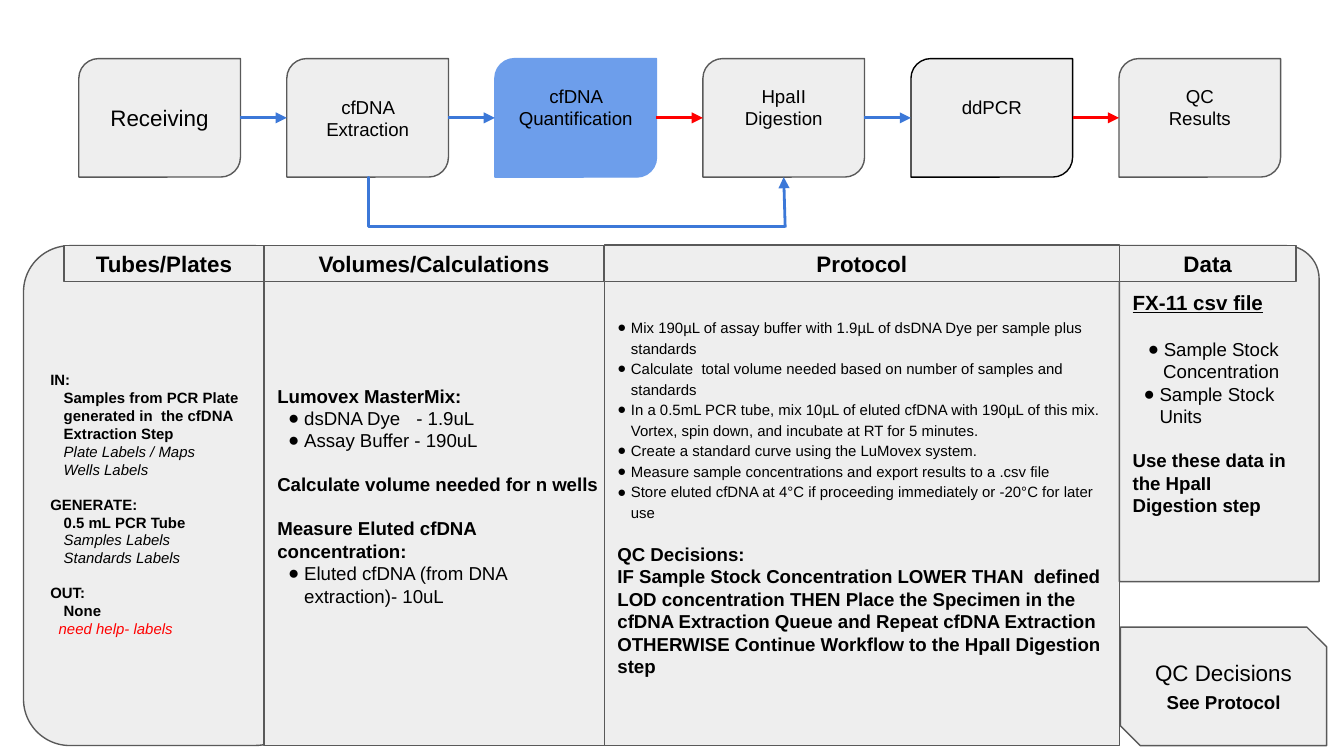
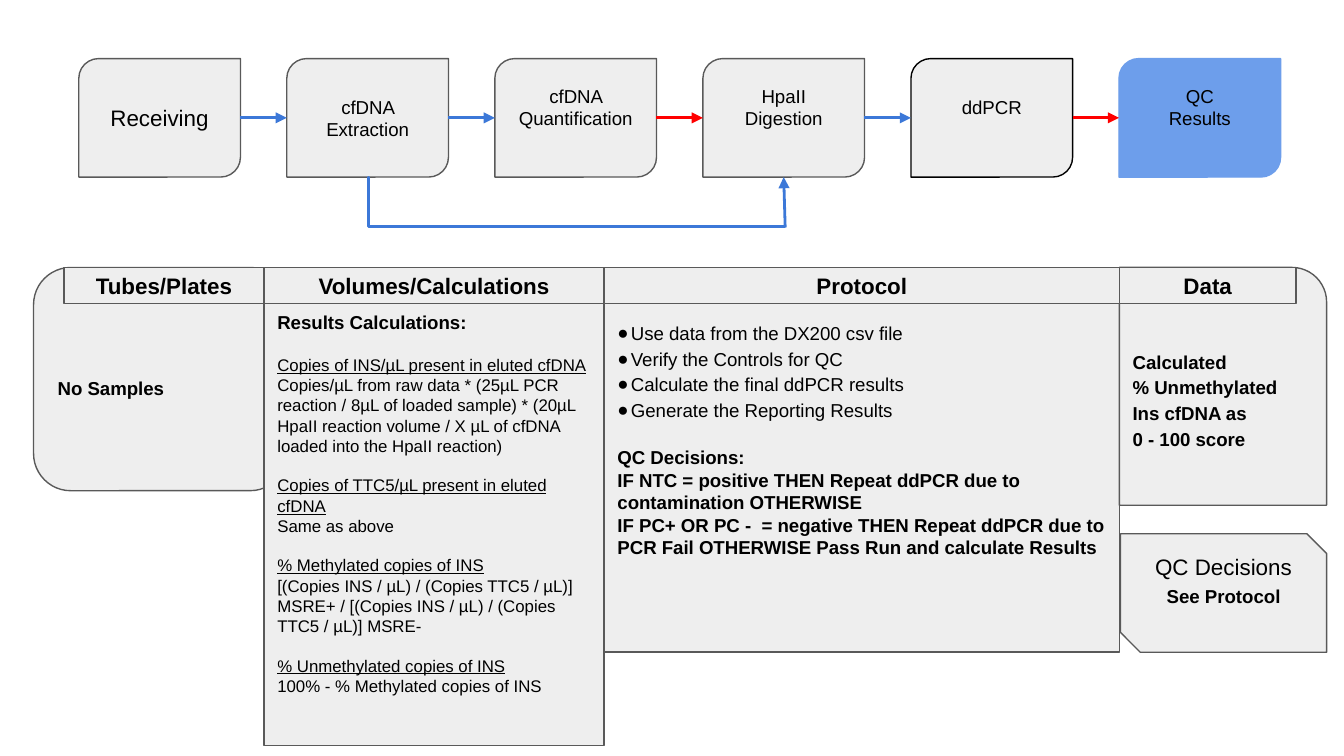
from lxml import etree
from pptx import Presentation
from pptx.dml.color import RGBColor
from pptx.enum.shapes import MSO_CONNECTOR, MSO_SHAPE
from pptx.enum.text import MSO_ANCHOR, PP_ALIGN
from pptx.oxml.ns import qn
from pptx.util import Pt

RECT = MSO_SHAPE.RECTANGLE
ROUNDED = MSO_SHAPE.ROUNDED_RECTANGLE
ONE_ROUND = MSO_SHAPE.ROUND_1_RECTANGLE
STEP_SHAPE = MSO_SHAPE.ROUND_2_DIAG_RECTANGLE
SNIPPED = MSO_SHAPE.SNIP_2_DIAG_RECTANGLE
STRAIGHT, ELBOW = MSO_CONNECTOR.STRAIGHT, MSO_CONNECTOR.ELBOW
MIDDLE, CENTER, LEFT = MSO_ANCHOR.MIDDLE, PP_ALIGN.CENTER, PP_ALIGN.LEFT

FONT = "Arial"
GREY, EDGE, BLACK = "EEEEEE", "595959", "000000"
ACTIVE, BLUE, RED = "6D9EEB", "3C78D8", "FF0000"
INSET = 7.2

# Paragraph styles
BOLD10 = dict(size=10, bold=True)
TITLE12 = dict(size=12, align=CENTER)
HEADER = dict(TITLE12, bold=True)
STEP = dict(size=10, align=CENTER)
LABEL = dict(size=8, bold=True)
ITEM = dict(LABEL, margin=7.2)
NOTE = dict(size=8, italic=True, margin=7.2)
BULLET = dict(size=10, margin=14.4, hanging=8.6)
TASK = dict(size=10, margin=7.2, hanging=8.6, spacing=1.15)
SMALL_TASK = dict(TASK, size=8, hanging=7.9)
FORMULA = dict(size=9)
FORMULA_NAME = dict(size=9, underline=True, gap=10.35)
SCORE = dict(BOLD10, spacing=1.15)

# Workflow: name lines, text style, space kept below, outline
STEPS = [
    (["Receiving"], TITLE12, 0, EDGE),
    (["cfDNA Extraction"], STEP, 0, EDGE),
    (["cfDNA Quantification"], STEP, 11.5, EDGE),
    (["HpaII Digestion"], STEP, 11.5, EDGE),
    (["ddPCR"], STEP, 11.5, BLACK),
    (["QC", "Results"], STEP, 11.5, EDGE),
]
STEP_ARROWS = [BLUE, BLUE, RED, BLUE, RED]
STEP_LEFT, STEP_TOP, STEP_W, STEP_H, STEP_PITCH = 42.2, 31.4, 86.6, 63.5, 111.45

# Column headers: title, left, width
COLUMNS = [
    ("Volumes/Calculations", 141.5, 182.2),
    ("Tubes/Plates", 34.3, 107.2),
    ("Protocol", 323.7, 276),
    ("Data", 599.7, 94.6),
]
HEADER_H = 19.4
DECISIONS = [("QC Decisions", TITLE12), ("See Protocol", dict(STEP, bold=True, gap=2.3))]

# Panels: shape, (left, top, width, height), (space above, space below), paragraphs
QUANTIFICATION = dict(active=2, header_top=131.6, panels=[
    (ROUNDED, (12.6, 131.6, 149, 267.8), (46, 36.8), [
        ("IN:", LABEL),
        ("Samples from PCR Plate generated in  the cfDNA Extraction Step", ITEM),
        ("Plate Labels / Maps", NOTE),
        ("Wells Labels", NOTE),
        ("GENERATE:", dict(LABEL, gap=9.2)),
        ("0.5 mL PCR Tube", ITEM),
        ("Samples Labels", NOTE),
        ("Standards Labels", NOTE),
        ("OUT:", dict(LABEL, gap=9.2)),
        ("None", ITEM),
        ("need help- labels", dict(NOTE, margin=4.5, color=RED)),
    ]),
    (RECT, (141.5, 131.6, 188, 267.8), (0, 0), [
        ("Lumovex MasterMix:", BOLD10),
        ("dsDNA Dye\t- 1.9uL", dict(BULLET, tab=74.5)),
        ("Assay Buffer - 190uL", BULLET),
        ("Calculate volume needed for n wells", dict(BOLD10, gap=11.5)),
        ("Measure Eluted cfDNA concentration:", dict(BOLD10, gap=11.5)),
        ("Eluted cfDNA (from DNA extraction)- 10uL", BULLET),
    ]),
    (RECT, (323.7, 131.3, 276, 268), (13.2, 11.5), [
        ("Mix 190µL of assay buffer with 1.9µL of dsDNA Dye per sample plus standards", SMALL_TASK),
        ("Calculate  total volume needed based on number of samples and standards", SMALL_TASK),
        ("In a 0.5mL PCR tube, mix 10µL of eluted cfDNA with 190µL of this mix. "
         "Vortex, spin down, and incubate at RT for 5 minutes.", SMALL_TASK),
        ("Create a standard curve using the LuMovex system.", SMALL_TASK),
        ("Measure sample concentrations and export results to a .csv file", SMALL_TASK),
        ("Store eluted cfDNA at 4°C if proceeding immediately or -20°C for later use", SMALL_TASK),
        ("QC Decisions:", dict(BOLD10, gap=11.5)),
        ("IF Sample Stock Concentration LOWER THAN  defined LOD concentration THEN "
         "Place the Specimen in the cfDNA Extraction Queue and Repeat cfDNA Extraction "
         "OTHERWISE Continue Workflow to the HpaII Digestion step", BOLD10),
    ]),
    (ONE_ROUND, (599.7, 131.6, 107, 180), (0, 11.5), [
        ("FX-11 csv file", dict(size=11, bold=True, underline=True)),
        ("Sample Stock Concentration", dict(BULLET, margin=7.2, align=CENTER, gap=12.65)),
        ("Sample Stock Units", BULLET),
        ("Use these data in the HpaII Digestion step", dict(BOLD10, gap=11.5)),
    ]),
    (SNIPPED, (600.3, 336, 110.4, 63.5), (0, 0), DECISIONS),
])

RESULTS = dict(active=5, header_top=143.3, panels=[
    (ROUNDED, (18, 143.3, 136, 119.6), (9.2, 0), [("No Samples", BOLD10)]),
    (RECT, (141.5, 162.7, 182.2, 236.8), (0, 23), [
        ("Results Calculations:", BOLD10),
        ("Copies of INS/µL present in eluted cfDNA", dict(FORMULA_NAME, gap=11.5)),
        ("Copies/µL from raw data * (25µL PCR reaction / 8µL of loaded sample) * "
         "(20µL HpaII reaction volume / X µL of cfDNA loaded into the HpaII reaction)", FORMULA),
        ("Copies of TTC5/µL present in eluted cfDNA", FORMULA_NAME),
        ("Same as above", FORMULA),
        ("% Methylated copies of INS", FORMULA_NAME),
        ("[(Copies INS / µL) / (Copies TTC5 / µL)] MSRE+ / "
         "[(Copies INS / µL) / (Copies TTC5 / µL)] MSRE-", FORMULA),
        ("% Unmethylated copies of INS", FORMULA_NAME),
        ("100% - % Methylated copies of INS", FORMULA),
    ]),
    (RECT, (323.7, 143.3, 276, 206), (0, 23), [
        ("Use data from the DX200 csv file", TASK),
        ("Verify the Controls for QC", TASK),
        ("Calculate the final ddPCR results", TASK),
        ("Generate the Reporting Results", TASK),
        ("QC Decisions:", dict(BOLD10, gap=13.2)),
        ("IF NTC = positive THEN Repeat ddPCR due to contamination OTHERWISE", BOLD10),
        ("IF PC+ OR PC -  = negative THEN Repeat ddPCR due to PCR Fail "
         "OTHERWISE Pass Run and calculate Results", BOLD10),
    ]),
    (ONE_ROUND, (599.7, 143.3, 111, 127.4), (13.2, 0), [
        ("Calculated", SCORE),
        ("% Unmethylated Ins cfDNA as", SCORE),
        ("0 - 100 score", SCORE),
    ]),
    (SNIPPED, (600.3, 286, 110.4, 63.5), (0, 13.8), DECISIONS),
])


def rgb(color):
    return RGBColor.from_string(color)


def write(paragraph, text, size=10, bold=False, italic=False, underline=False,
          color=BLACK, align=LEFT, gap=0, spacing=None, margin=0, hanging=0, tab=None):
    """Fill a paragraph; a hanging indent brings a bullet with it."""
    paragraph.alignment = align
    paragraph.space_before = Pt(gap)
    if spacing:
        paragraph.line_spacing = spacing
    run = paragraph.add_run()
    run.text = text
    font = run.font
    font.name, font.size = FONT, Pt(size)
    font.bold, font.italic, font.underline = bold, italic, underline
    font.color.rgb = rgb(color)
    props = paragraph._p.get_or_add_pPr()
    props.set("marL", str(Pt(margin)))
    props.set("indent", str(Pt(-hanging)))
    if hanging:
        bullet_color = etree.SubElement(props, qn("a:buClr"))
        etree.SubElement(bullet_color, qn("a:srgbClr"), val=BLACK)
        etree.SubElement(props, qn("a:buFont"), typeface=FONT)
        etree.SubElement(props, qn("a:buChar"), char="●")
    if tab:
        tabs = etree.SubElement(props, qn("a:tabLst"))
        etree.SubElement(tabs, qn("a:tab"), pos=str(Pt(tab)), algn="l")


def add_box(slide, kind, place, paragraphs, padding=(0, 0), fill=GREY, edge=EDGE):
    box = slide.shapes.add_shape(kind, *map(Pt, place))
    box.shadow.inherit = False
    box.fill.solid()
    box.fill.fore_color.rgb = rgb(fill)
    box.line.color.rgb = rgb(edge)
    box.line.width = Pt(0.75)
    frame = box.text_frame
    frame.word_wrap = True
    frame.vertical_anchor = MIDDLE
    frame.margin_left = frame.margin_right = Pt(INSET)
    frame.margin_top, frame.margin_bottom = (Pt(INSET + space) for space in padding)
    for i, (text, style) in enumerate(paragraphs):
        write(frame.add_paragraph() if i else frame.paragraphs[0], text, **style)


def add_line(slide, start, end, color, kind=STRAIGHT, arrow=True):
    line = slide.shapes.add_connector(kind, *map(Pt, start + end))
    line.line.color.rgb = rgb(color)
    line.line.width = Pt(1.5)
    if arrow:
        etree.SubElement(line.line._get_or_add_ln(), qn("a:tailEnd"), type="triangle")
    etree.SubElement(line._element.spPr, qn("a:effectLst"))
    return line


def add_workflow(slide, active):
    lefts = [STEP_LEFT + i * STEP_PITCH for i in range(len(STEPS))]
    middle, bottom = STEP_TOP + STEP_H / 2, STEP_TOP + STEP_H
    for i, (names, style, below, edge) in enumerate(STEPS):
        add_box(slide, STEP_SHAPE, (lefts[i], STEP_TOP, STEP_W, STEP_H),
                [(name, style) for name in names], (0, below),
                ACTIVE if i == active else GREY, ACTIVE if i == active else edge)
    for left, next_left, color in zip(lefts, lefts[1:], STEP_ARROWS):
        add_line(slide, (left + STEP_W, middle), (next_left, middle), color)

    # Bypass from extraction straight to digestion
    start, end = lefts[1] + STEP_W / 2, lefts[3] + STEP_W / 2
    bypass = add_line(slide, (start, bottom), (end + 0.8, bottom + 26.7), BLUE, ELBOW, False)
    bends = bypass._element.spPr.find(".//" + qn("a:avLst"))
    etree.SubElement(bends, qn("a:gd"), name="adj1", fmla="val 300")
    add_line(slide, (end + 0.8, bottom + 27), (end, bottom), BLUE)


def add_step_slide(deck, active, header_top, panels):
    slide = deck.slides.add_slide(deck.slide_layouts[6])
    for kind, place, padding, paragraphs in panels:
        add_box(slide, kind, place, paragraphs, padding)
    for title, left, width in COLUMNS:
        add_box(slide, RECT, (left, header_top, width, HEADER_H), [(title, HEADER)])
    add_workflow(slide, active)


def main():
    deck = Presentation()
    deck.slide_width, deck.slide_height = Pt(720), Pt(405)
    for content in (QUANTIFICATION, RESULTS):
        add_step_slide(deck, **content)
    deck.save("out.pptx")


if __name__ == "__main__":
    main()
